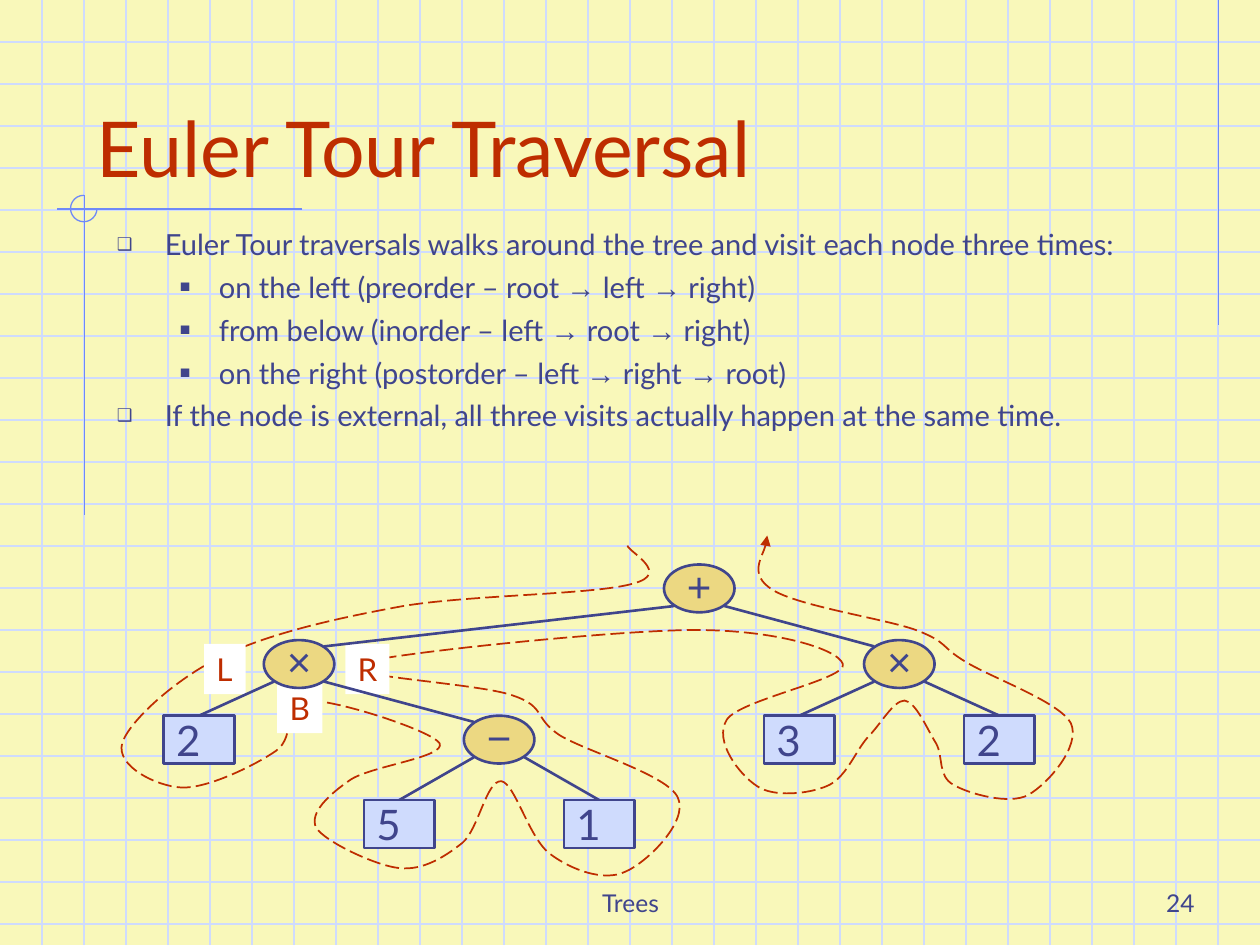
from dataclasses import dataclass
from typing import Optional

from lxml.etree import SubElement
from pptx import Presentation
from pptx.dml.color import RGBColor
from pptx.enum.dml import MSO_LINE
from pptx.enum.shapes import MSO_CONNECTOR, MSO_SHAPE
from pptx.enum.text import MSO_ANCHOR, PP_ALIGN
from pptx.oxml.ns import qn
from pptx.util import Inches, Pt

COLUMNS, ROWS = 10, 7.5
SLIDE_WIDTH, SLIDE_HEIGHT = Inches(10), Inches(7.5)


@dataclass(frozen=True)
class Theme:
    paper: str = "F9F8BA"
    rule: str = "CFDBFD"
    margin: str = "6F89F7"
    ink: str = "40458C"
    accent: str = "BE2D00"
    internal: str = "ECD882"
    external: str = "CFDBFD"
    label: str = "FFFFFF"
    font: str = "Lato"
    symbol_font: str = "Arial"
    title: float = 44
    body: float = 16.6
    node: float = 24
    visit: float = 18
    footer: float = 14
    thin: float = 0.75
    tour: float = 1
    bold: float = 1.5


@dataclass(frozen=True)
class Area:
    left: float
    top: float
    width: float
    height: float

    def emu(self) -> tuple:
        return col(self.left), row(self.top), col(self.width), row(self.height)


@dataclass(frozen=True)
class Node:
    symbol: str
    step: int
    y: float
    parent: Optional["Node"] = None
    external: bool = False

    @property
    def x(self) -> float:
        return 1.58 + 0.794 * self.step


@dataclass(frozen=True)
class Bullet:
    text: str
    level: int = 0


THEME = Theme()
NODE_WIDTH, NODE_HEIGHT = 0.56, 0.38
CORNER_X, CORNER_Y = 0.2, 0.14
MARKS = (("❑", 0.38, 0.38), ("■", 0.81, 0.31))

PLUS = Node("+", 5, 4.67)
LEFT_TIMES = Node("×", 1, 5.27, PLUS)
RIGHT_TIMES = Node("×", 7, 5.27, PLUS)
MINUS = Node("−", 3, 5.87, LEFT_TIMES)
TREE = (
    PLUS, LEFT_TIMES, RIGHT_TIMES, MINUS,
    Node("2", 0, 5.87, LEFT_TIMES, True), Node("5", 2, 6.54, MINUS, True),
    Node("1", 4, 6.54, MINUS, True), Node("3", 6, 5.87, RIGHT_TIMES, True),
    Node("2", 8, 5.87, RIGHT_TIMES, True),
)
VISITS = (
    ("L", Area(1.62, 5.11, 0.33, 0.4)),
    ("B", Area(2.2, 5.42, 0.36, 0.4)),
    ("R", Area(2.74, 5.11, 0.35, 0.4)),
)
BULLETS = (
    Bullet("Euler Tour traversals walks around the tree and visit each node three times:"),
    Bullet("on the left (preorder – root → left → right)", 1),
    Bullet("from below (inorder – left → root → right)", 1),
    Bullet("on the right (postorder – left → right → root)", 1),
    Bullet("If the node is external, all three visits actually happen at the same time."),
)
TOUR_START = (4.98, 4.33)
TOUR_CURVES = (
    ((4.99, 4.38), (5.33, 4.55), (5.03, 4.63)), ((4.74, 4.72), (3.74, 4.72), (3.2, 4.81)),
    ((2.65, 4.91), (2.13, 5.03), (1.76, 5.21)), ((1.39, 5.39), (1.02, 5.73), (0.97, 5.9)),
    ((0.92, 6.08), (1.24, 6.24), (1.44, 6.25)), ((1.65, 6.26), (2.03, 6.07), (2.19, 5.96)),
    ((2.36, 5.84), (2.23, 5.57), (2.44, 5.56)), ((2.66, 5.55), (3.43, 5.8), (3.49, 5.9)),
    ((3.54, 6.01), (2.94, 6.08), (2.78, 6.19)), ((2.62, 6.3), (2.45, 6.45), (2.51, 6.57)),
    ((2.58, 6.68), (2.98, 6.87), (3.17, 6.89)), ((3.36, 6.91), (3.53, 6.8), (3.67, 6.69)),
    ((3.8, 6.58), (3.86, 6.19), (3.98, 6.2)), ((4.09, 6.22), (4.2, 6.66), (4.37, 6.78)),
    ((4.53, 6.9), (4.79, 7), (4.96, 6.92)), ((5.13, 6.85), (5.47, 6.52), (5.38, 6.33)),
    ((5.3, 6.15), (4.67, 5.97), (4.45, 5.84)), ((4.23, 5.7), (4.34, 5.61), (4.07, 5.52)),
    ((3.8, 5.42), (2.58, 5.36), (2.82, 5.27)), ((3.06, 5.19), (4.88, 5), (5.52, 5)),
    ((6.16, 5), (6.65, 5.15), (6.69, 5.27)), ((6.73, 5.39), (5.88, 5.55), (5.77, 5.71)),
    ((5.66, 5.88), (5.87, 6.15), (6.01, 6.24)), ((6.14, 6.33), (6.42, 6.3), (6.56, 6.24)),
    ((6.71, 6.18), (6.78, 5.98), (6.88, 5.86)), ((6.99, 5.75), (7.09, 5.56), (7.18, 5.56)),
    ((7.27, 5.57), (7.36, 5.79), (7.43, 5.9)), ((7.49, 6.01), (7.44, 6.16), (7.57, 6.23)),
    ((7.69, 6.3), (8.01, 6.39), (8.16, 6.31)), ((8.32, 6.22), (8.58, 5.92), (8.5, 5.74)),
    ((8.41, 5.57), (7.87, 5.38), (7.66, 5.25)), ((7.46, 5.13), (7.53, 5.1), (7.27, 5)),
    ((7.02, 4.91), (6.33, 4.81), (6.13, 4.68)), ((5.94, 4.56), (6.1, 4.34), (6.09, 4.25)),
)


def col(count: float) -> int:
    return round(SLIDE_WIDTH * count / COLUMNS)


def row(count: float) -> int:
    return round(SLIDE_HEIGHT * count / ROWS)


def style_line(line, color: str, width: float) -> None:
    line.color.rgb = RGBColor.from_string(color)
    line.width = Pt(width)


def style_font(font, size: float, color: str, face: str = THEME.font) -> None:
    font.size, font.name = Pt(size), face
    font.color.rgb = RGBColor.from_string(color)


def draw_line(shapes, start: tuple, end: tuple, color: str, width: float) -> None:
    line = shapes.add_connector(
        MSO_CONNECTOR.STRAIGHT, col(start[0]), row(start[1]), col(end[0]), row(end[1]))
    style_line(line.line, color, width)
    SubElement(line._element.spPr, qn("a:effectLst"))


def draw_paper(shapes) -> None:
    for third in range(1, 23):
        draw_line(shapes, (0, third / 3), (COLUMNS, third / 3), THEME.rule, THEME.thin)
    for third in range(1, 30):
        draw_line(shapes, (third / 3, 0), (third / 3, ROWS), THEME.rule, THEME.thin)
    for start, end in (((9.67, 0), (9.67, 2.58)), ((2.4, 1.66), (0.45, 1.66)),
                       ((0.67, 1.55), (0.67, 4.09))):
        draw_line(shapes, start, end, THEME.margin, THEME.thin)
    ring = shapes.add_shape(MSO_SHAPE.ARC, *Area(0.56, 1.55, 0.21, 0.21).emu())
    ring.adjustments[0], ring.adjustments[1] = 0, 162
    ring.shadow.inherit = False
    ring.fill.background()
    style_line(ring.line, THEME.margin, THEME.thin)


def draw_text(shapes, area: Area, text: str, size: float, color: str, align: PP_ALIGN) -> None:
    frame = shapes.add_textbox(*area.emu()).text_frame
    frame.word_wrap, frame.vertical_anchor = True, MSO_ANCHOR.BOTTOM
    frame.text = text
    frame.paragraphs[0].alignment = align
    style_font(frame.paragraphs[0].runs[0].font, size, color)


def draw_bullets(shapes, area: Area) -> None:
    frame = shapes.add_textbox(*area.emu()).text_frame
    frame.word_wrap = True
    for index, bullet in enumerate(BULLETS):
        paragraph = frame.add_paragraph() if index else frame.paragraphs[0]
        paragraph.level = bullet.level
        if index:
            paragraph.space_before = Pt(4.5)
        mark, margin, hanging = MARKS[bullet.level]
        properties = paragraph._p.get_or_add_pPr()
        properties.set("marL", str(col(margin)))
        properties.set("indent", str(-col(hanging)))
        SubElement(SubElement(properties, qn("a:buClr")), qn("a:srgbClr"), val=THEME.ink)
        SubElement(properties, qn("a:buSzPct"), val="60000")
        SubElement(properties, qn("a:buFont"), typeface=THEME.symbol_font)
        SubElement(properties, qn("a:buChar"), char=mark)
        for part in bullet.text.replace("→", "|→|").split("|"):
            run = paragraph.add_run()
            run.text = part
            style_font(run.font, THEME.body, THEME.ink,
                       THEME.symbol_font if part == "→" else THEME.font)


def draw_box(shapes, kind: MSO_SHAPE, area: Area, fill: str, text: str, size: float,
             color: str, face: str = THEME.font, outline: bool = True):
    box = shapes.add_shape(kind, *area.emu())
    box.shadow.inherit = False
    box.fill.solid()
    box.fill.fore_color.rgb = RGBColor.from_string(fill)
    if outline:
        style_line(box.line, THEME.ink, THEME.bold)
    else:
        box.line.fill.background()
    frame = box.text_frame
    frame.word_wrap, frame.vertical_anchor = False, MSO_ANCHOR.MIDDLE
    frame.text = text
    frame.paragraphs[0].alignment = PP_ALIGN.LEFT
    style_font(frame.paragraphs[0].runs[0].font, size, color, face)
    return box


def draw_tour(shapes) -> None:
    builder = shapes.build_freeform(col(TOUR_START[0]), row(TOUR_START[1]))
    builder.add_line_segments(
        [(col(x), row(y)) for curve in TOUR_CURVES for x, y in curve], close=False)
    tour = builder.convert_to_shape()
    tour.shadow.inherit = False
    tour.fill.background()
    style_line(tour.line, THEME.accent, THEME.tour)
    tour.line.dash_style = MSO_LINE.LONG_DASH
    SubElement(tour.line._get_or_add_ln(), qn("a:tailEnd"), type="triangle")
    outline = tour._element.find(".//" + qn("a:path"))
    segments = outline.findall(qn("a:lnTo"))
    for first in range(0, len(segments), 3):
        curve = SubElement(outline, qn("a:cubicBezTo"))
        for segment in segments[first:first + 3]:
            curve.append(segment[0])
            outline.remove(segment)


def draw_edge(shapes, node: Node) -> None:
    parent = node.parent
    side = 1 if node.x > parent.x else -1
    start = (parent.x + side * CORNER_X, parent.y + CORNER_Y)
    end = ((node.x, node.y - NODE_HEIGHT / 2) if node.external
           else (node.x - side * CORNER_X, node.y - CORNER_Y))
    draw_line(shapes, start, end, THEME.ink, THEME.bold)


def draw_node(shapes, node: Node) -> None:
    area = Area(node.x - NODE_WIDTH / 2, node.y - NODE_HEIGHT / 2, NODE_WIDTH, NODE_HEIGHT)
    if node.external:
        draw_box(shapes, MSO_SHAPE.RECTANGLE, area, THEME.external, node.symbol,
                 THEME.node, THEME.ink)
        return
    frame = draw_box(shapes, MSO_SHAPE.OVAL, area, THEME.internal, node.symbol,
                     THEME.node, THEME.ink, THEME.symbol_font).text_frame
    frame.margin_left = frame.margin_right = frame.margin_top = 0
    frame.paragraphs[0].alignment = PP_ALIGN.CENTER


def main() -> None:
    """Build the Euler tour slide."""
    deck = Presentation()
    deck.slide_width, deck.slide_height = SLIDE_WIDTH, SLIDE_HEIGHT
    slide = deck.slides.add_slide(deck.slide_layouts[6])
    slide.background.fill.solid()
    slide.background.fill.fore_color.rgb = RGBColor.from_string(THEME.paper)
    shapes = slide.shapes
    draw_paper(shapes)
    for area, text, size, color, align in (
        (Area(3.42, 6.83, 3.17, 0.5), "Trees", THEME.footer, THEME.ink, PP_ALIGN.CENTER),
        (Area(7.5, 6.83, 2.08, 0.5), "24", THEME.footer, THEME.ink, PP_ALIGN.RIGHT),
        (Area(0.67, 0.33, 8.5, 1.25), "Euler Tour Traversal", THEME.title, THEME.accent,
         PP_ALIGN.LEFT),
    ):
        draw_text(shapes, area, text, size, color, align)
    draw_bullets(shapes, Area(0.83, 1.75, 8.67, 2.33))
    draw_tour(shapes)
    for visit, area in VISITS:
        draw_box(shapes, MSO_SHAPE.RECTANGLE, area, THEME.label, visit, THEME.visit,
                 THEME.accent, outline=False)
    for node in TREE:
        if node.parent:
            draw_edge(shapes, node)
    for node in TREE:
        draw_node(shapes, node)
    deck.save("out.pptx")


if __name__ == "__main__":
    main()
